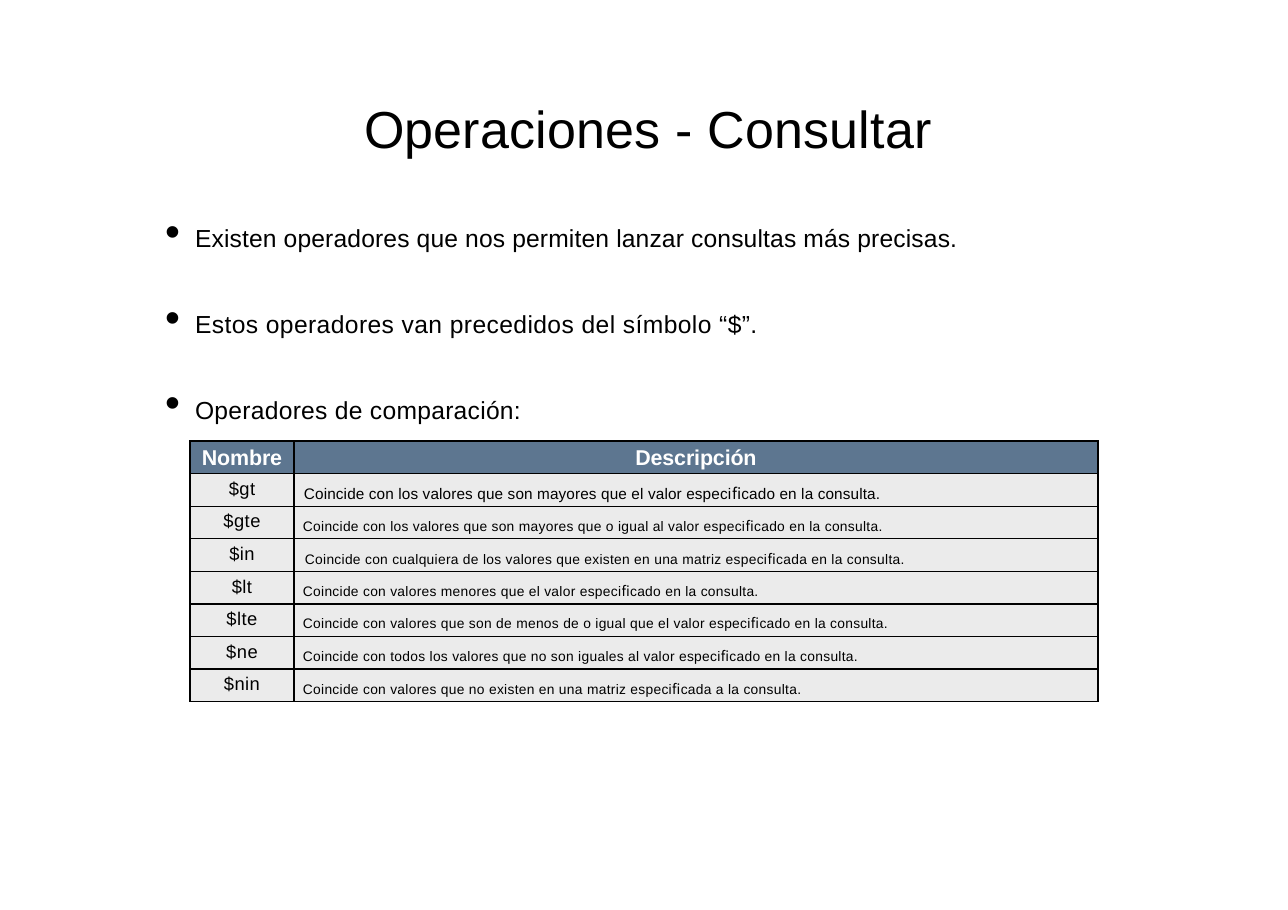
from lxml import etree
from pptx import Presentation
from pptx import util as u
from pptx.dml.color import RGBColor
from pptx.enum import text
from pptx.oxml.ns import qn

TITLE = "Operaciones - Consultar"
BULLETS = [
    ("Existen operadores que nos permiten lanzar consultas más precisas.", 10),
    ("Estos operadores van precedidos del símbolo “$”.", 27),
    ("Operadores de comparación:", 20),
]
HEADERS = ["Nombre", "Descripción"]
OPERATORS = [
    ("$gt", "Coincide con los valores que son mayores que el valor especiﬁcado en la consulta.", 10, 10, 8),
    ("$gte", "Coincide con los valores que son mayores que o igual al valor especiﬁcado en la consulta.", 9, 9, 9),
    ("$in", "Coincide con cualquiera de los valores que existen en una matriz especiﬁcada en la consulta.", 9, 11, 10),
    ("$lt", "Coincide con valores menores que el valor especiﬁcado en la consulta.", 9, 9, 9),
    ("$lte", "Coincide con valores que son de menos de o igual que el valor especiﬁcado en la consulta.", 9, 9, 9),
    ("$ne", "Coincide con todos los valores que no son iguales al valor especiﬁcado en la consulta.", 9, 9, 9),
    ("$nin", "Coincide con valores que no existen en una matriz especiﬁcada a la consulta.", 9, 9, 9),
]
COLUMNS = [104, 804]
LIGATURE = "ﬁ"
LIGATURE_FONT = "Noto Sans CJK JP"
BLACK, WHITE, HEADER_FILL, ROW_FILL = "000000", "FFFFFF", "5D7690", "EBEBEB"
LEFT, CENTER = text.PP_ALIGN.LEFT, text.PP_ALIGN.CENTER


def px(length):
    return round(length * 914400 / 110.2)


def color(value):
    return RGBColor.from_string(value)


def write(paragraph, words, size, fill=BLACK, bold=False, spacing=0, align=LEFT):
    before, ligature, after = words.partition(LIGATURE)
    for part in filter(None, (before, ligature, after)):
        run = paragraph.add_run()
        run.text = part
        if part == LIGATURE:
            run.font.name = LIGATURE_FONT
    paragraph.alignment = align
    font = paragraph.font
    font.name, font.size, font.bold = "Arial", u.Pt(size), bold
    font.color.rgb = color(fill)
    properties = paragraph._p.get_or_add_pPr().find(qn("a:defRPr"))
    properties.set("spc", str(spacing))
    return properties


def place(shape, left, top, width, height, inset_left, inset_top):
    shape.left, shape.top, shape.width, shape.height = map(px, (left, top, width, height))
    frame = shape.text_frame
    frame.word_wrap = True
    frame.auto_size = text.MSO_AUTO_SIZE.SHAPE_TO_FIT_TEXT
    frame.vertical_anchor = text.MSO_ANCHOR.TOP
    frame.margin_left, frame.margin_top = px(inset_left), px(inset_top)
    frame.margin_right = frame.margin_bottom = 0
    return frame


def style_cell(cell, fill, inset_left, inset_top):
    cell.margin_left, cell.margin_top = px(inset_left), px(inset_top)
    cell.margin_right = cell.margin_bottom = 0
    properties = cell._tc.get_or_add_tcPr()
    for side in ("lnL", "lnR", "lnT", "lnB"):
        line = etree.SubElement(properties, qn(f"a:{side}"), w=str(u.Pt(1)))
        solid = etree.SubElement(line, qn("a:solidFill"))
        etree.SubElement(solid, qn("a:srgbClr"), val=BLACK)
    cell.fill.solid()
    cell.fill.fore_color.rgb = color(fill)


def add_bullets(frame):
    for index, (words, spacing) in enumerate(BULLETS):
        paragraph = frame.add_paragraph() if index else frame.paragraphs[0]
        properties = write(paragraph, words, 27.8, spacing=spacing)
        properties.set("baseline", "2000")
        paragraph.space_before = u.Pt(22.7 if index else 1.1)
        indents = paragraph._p.get_or_add_pPr()
        indents.set("marL", str(px(31)))
        indents.set("indent", str(px(-30)))


def add_operators(slide):
    frame = slide.shapes.add_table(
        len(OPERATORS) + 1, len(COLUMNS), px(190), px(441), px(sum(COLUMNS)), px(261))
    table = frame.table
    for column, width in zip(table.columns, COLUMNS):
        column.width = px(width)
    for index, words in enumerate(HEADERS):
        cell = table.cell(0, index)
        style_cell(cell, HEADER_FILL, 0, 5)
        write(cell.text_frame.paragraphs[0], words, 14, WHITE, True, -10, CENTER)
    for row, (name, description, size, left, top) in enumerate(OPERATORS, 1):
        name_cell, description_cell = table.cell(row, 0), table.cell(row, 1)
        style_cell(name_cell, ROW_FILL, 0, 5)
        write(name_cell.text_frame.paragraphs[0], name, 12, spacing=30, align=CENTER)
        style_cell(description_cell, ROW_FILL, left, top)
        write(description_cell.text_frame.paragraphs[0], description, size,
              spacing=10 if size == 10 else 20)


def main():
    presentation = Presentation()
    presentation.slide_width, presentation.slide_height = px(1288), px(910)
    slide = presentation.slides.add_slide(presentation.slide_layouts[1])
    title, body = slide.placeholders
    title_frame = place(title, 353, 95, 583, 66, 11, 1)
    write(title_frame.paragraphs[0], TITLE, 34, spacing=16)
    add_bullets(place(body, 164, 204, 907, 175, 0, 2))
    add_operators(slide)
    presentation.save("out.pptx")


if __name__ == "__main__":
    main()
